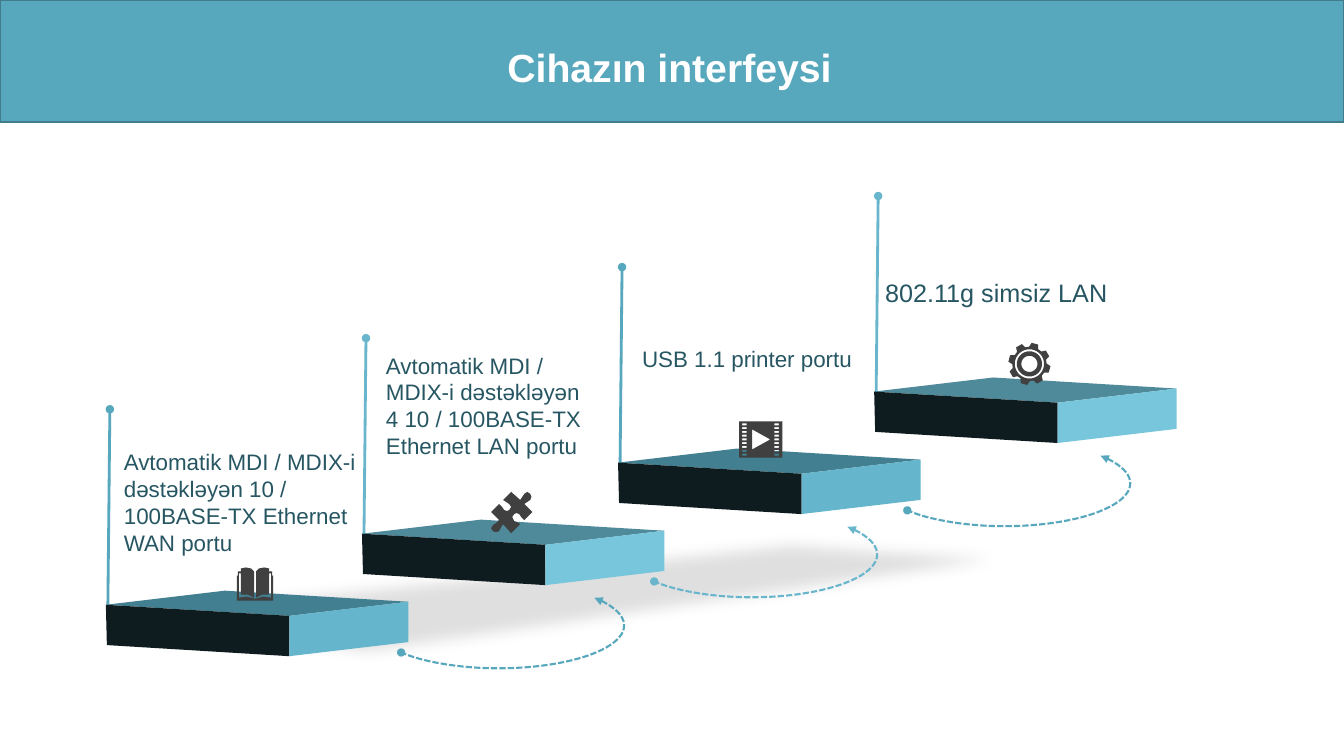
from dataclasses import dataclass
from math import cos, radians, sin

from lxml import etree
from pptx import Presentation
from pptx import util as u
from pptx.dml.color import RGBColor
from pptx.enum import shapes, text
from pptx.oxml import ns


@dataclass(frozen=True)
class Theme:
    font: str = "Arial"
    title: int = 28
    label: int = 16
    large: int = 18
    white: str = "FFFFFF"
    ink: str = "275663"
    bar: str = "57A7BD"
    edge: str = "407C8C"
    icon: str = "404040"
    shade: str = "808080"
    front: str = "0E1B1F"
    poles: tuple = ("57A7BD", "69B6CC")
    tops: tuple = ("427F90", "4F8A9B")
    sides: tuple = ("65B6CC", "78C6DC")


THEME = Theme()
STEP_X, STEP_Y = 2.54, -0.705
LABELS = [
    ("Avtomatik MDI / MDIX-i dəstəkləyən 10 / 100BASE-TX Ethernet WAN portu",
     (1.13, 4.4, 2.71, 1.18), THEME.label, True),
    ("Avtomatik MDI / MDIX-i dəstəkləyən 4 10 / 100BASE-TX Ethernet LAN portu",
     (3.73, 3.44, 2.14, 1.18), THEME.label, True),
    ("USB 1.1 printer portu", (6.27, 3.38, 2.31, 0.37), THEME.label, False),
    ("802.11g simsiz LAN", (8.68, 2.7, 2.43, 0.4), THEME.large, False),
]
SHADOW = [(0.31, 6.05), (3.46, 6.57), (3.65, 6.6), (3.72, 6.58),
          (11.21, 5.49), (7.81, 5.26)]
PUZZLE = [
    (5.26, 4.9), (5.27, 4.93), (5.26, 4.96), (5.23, 4.98), (5.2, 5), (5.28, 5.08),
    (5.2, 5.16), (5.17, 5.13), (5.15, 5.1), (5.12, 5.09), (5.1, 5.1), (5.08, 5.13),
    (5.1, 5.17), (5.13, 5.18), (5.16, 5.2), (5.07, 5.29), (4.99, 5.2), (4.97, 5.23),
    (4.95, 5.27), (4.92, 5.28), (4.89, 5.27), (4.87, 5.24), (4.89, 5.21),
    (4.92, 5.19), (4.95, 5.16), (4.87, 5.08), (4.95, 5), (4.98, 5.03), (5, 5.06),
    (5.03, 5.07), (5.05, 5.06), (5.07, 5.03), (5.05, 5), (5.02, 4.98), (4.99, 4.96),
    (5.07, 4.88), (5.16, 4.96), (5.18, 4.93), (5.2, 4.9), (5.23, 4.88),
]
LEAF = [(2.52, 5.93), (2.46, 5.9), (2.39, 5.9), (2.39, 5.69), (2.37, 5.69),
        (2.37, 5.93), (2.45, 5.92), (2.53, 5.94)]
COVER = [(2.53, 5.96), (2.35, 5.96), (2.35, 5.71), (2.36, 5.71), (2.36, 5.67),
         (2.39, 5.67), (2.39, 5.64), (2.44, 5.63), (2.49, 5.64), (2.52, 5.67)]


def color(code):
    return RGBColor.from_string(code)


def box(left, top, width, height):
    return [u.Inches(n) for n in (left, top, width, height)]


def extend(parent, tag, **attrs):
    return etree.SubElement(parent, ns.qn(tag), attrs)


def paint(shape, fill):
    shape.shadow.inherit = False
    shape.fill.solid()
    shape.fill.fore_color.rgb = color(fill)
    shape.line.fill.background()


def outline(slide, loops, fill):
    """Fill closed loops of points; a loop inside another is a hole."""
    loops = [[(u.Inches(x), u.Inches(y)) for x, y in loop] for loop in loops]
    pen = slide.shapes.build_freeform(*loops[0][0])
    for i, loop in enumerate(loops):
        if i:
            pen.move_to(*loop[0])
        pen.add_line_segments(loop[1:], close=True)
    shape = pen.convert_to_shape()
    paint(shape, fill)
    return shape


def style(frame, words, size, tint, bold=False):
    frame.text = words
    font = frame.paragraphs[0].runs[0].font
    font.name, font.size, font.bold = THEME.font, u.Pt(size), bold
    font.color.rgb = color(tint)


def add_title(slide, words):
    bar = slide.shapes.add_shape(
        shapes.MSO_SHAPE.RECTANGLE, *box(0, 0, 13.33, 1.21))
    paint(bar, THEME.bar)
    bar.line.color.rgb = color(THEME.edge)
    bar.line.width = u.Pt(1)
    title = slide.shapes.title
    title._element.addprevious(bar._element)
    title.left, title.top, title.width, title.height = box(4.44, 0.38, 4.4, 0.57)
    frame = title.text_frame
    style(frame, words, THEME.title, THEME.white, True)
    frame.vertical_anchor = text.MSO_ANCHOR.MIDDLE
    frame.paragraphs[0].alignment = text.PP_ALIGN.CENTER


def add_label(slide, words, place, size, wrap):
    frame = slide.shapes.add_textbox(*box(*place)).text_frame
    frame.word_wrap = wrap
    style(frame, words, size, THEME.ink)


def add_pole(slide, i):
    x, y = 1.07 + i * STEP_X, 6.02 + i * STEP_Y
    pole = slide.shapes.add_connector(
        shapes.MSO_CONNECTOR.STRAIGHT,
        *box(x, y, x + 0.02, y - 1.96))
    pole.line.color.rgb = color(THEME.poles[i % 2])
    pole.line.width = u.Pt(2)
    extend(pole.line._get_or_add_ln(), "a:tailEnd", type="oval")
    extend(pole._element.spPr, "a:effectLst")


def add_shadow(slide):
    """Lay a soft, translucent shade on the floor."""
    shade = outline(slide, [SHADOW], THEME.shade)
    props = shade._element.spPr
    extend(props.find(".//" + ns.qn("a:srgbClr")), "a:alpha", val="25000")
    extend(props.find(ns.qn("a:effectLst")), "a:softEdge", rad="127000")


def add_block(slide, i):
    def face(points, fill):
        outline(slide, [[(x + i * STEP_X, y + i * STEP_Y) for x, y in points]], fill)

    left, near, right, back = (1.05, 6), (2.87, 6.11), (4.05, 5.97), (2.23, 5.86)
    face([left, back, right, near], THEME.tops[i % 2])
    face([left, near, (2.87, 6.51), (1.06, 6.4)], THEME.front)
    face([near, right, (4.05, 6.37), (2.87, 6.51)], THEME.sides[i % 2])


def add_arc(slide, i):
    arc = slide.shapes.add_shape(
        shapes.MSO_SHAPE.ARC, *box(3.7 + i * 2.51, 5.78 + i * STEP_Y, 2.49, 0.85))
    arc.adjustments[0], arc.adjustments[1] = 206.33, 98.7
    arc.shadow.inherit = False
    arc.fill.background()
    arc.line.color.rgb = color(THEME.poles[i % 2])
    arc.line.width = u.Pt(1.5)
    line = arc.line._get_or_add_ln()
    extend(line, "a:prstDash", val="sysDash")
    extend(line, "a:headEnd", type="triangle")
    extend(line, "a:tailEnd", type="oval")


def book():
    half = LEAF + COVER
    return [half, [(5.06 - x, y) for x, y in half]]


def film():
    def rect(x, y, wide, high):
        return [(x, y), (x + wide, y), (x + wide, y + high), (x, y + high)]

    holes = [rect(x, 4.2 + 0.0375 * row, 0.045, 0.02)
             for row in range(9) for x in (7.36, 7.68)]
    play = [(7.46, 4.26), (7.46, 4.46), (7.64, 4.36)]
    return [rect(7.33, 4.18, 0.43, 0.36), play] + holes


def gear():
    def ring(spots):
        return [(10.21 + r * cos(radians(a)), 3.61 + r * sin(radians(a)))
                for r, a in spots]

    tooth = [(0.17, -16), (0.21, -9), (0.21, 9), (0.17, 16)]
    teeth = [(r, 45 * n - 75 + a) for n in range(8) for r, a in tooth]
    rounds = [[(r, a) for a in range(0, 360, 10)] for r in (0.145, 0.125, 0.08)]
    return [ring(spots) for spots in [teeth] + rounds]


def main():
    deck = Presentation()
    deck.slide_width, deck.slide_height = u.Inches(13.33), u.Inches(7.5)
    slide = deck.slides.add_slide(deck.slide_layouts[5])
    add_title(slide, "Cihazın interfeysi")
    count = len(LABELS)
    for i in range(count):
        add_pole(slide, i)
    add_shadow(slide)
    for i in range(count):
        add_block(slide, i)
    for i in range(count - 1):
        add_arc(slide, i)
    for loops in (book(), [PUZZLE], film(), gear()):
        outline(slide, loops, THEME.icon)
    for label in LABELS:
        add_label(slide, *label)
    deck.save("out.pptx")


if __name__ == "__main__":
    main()
